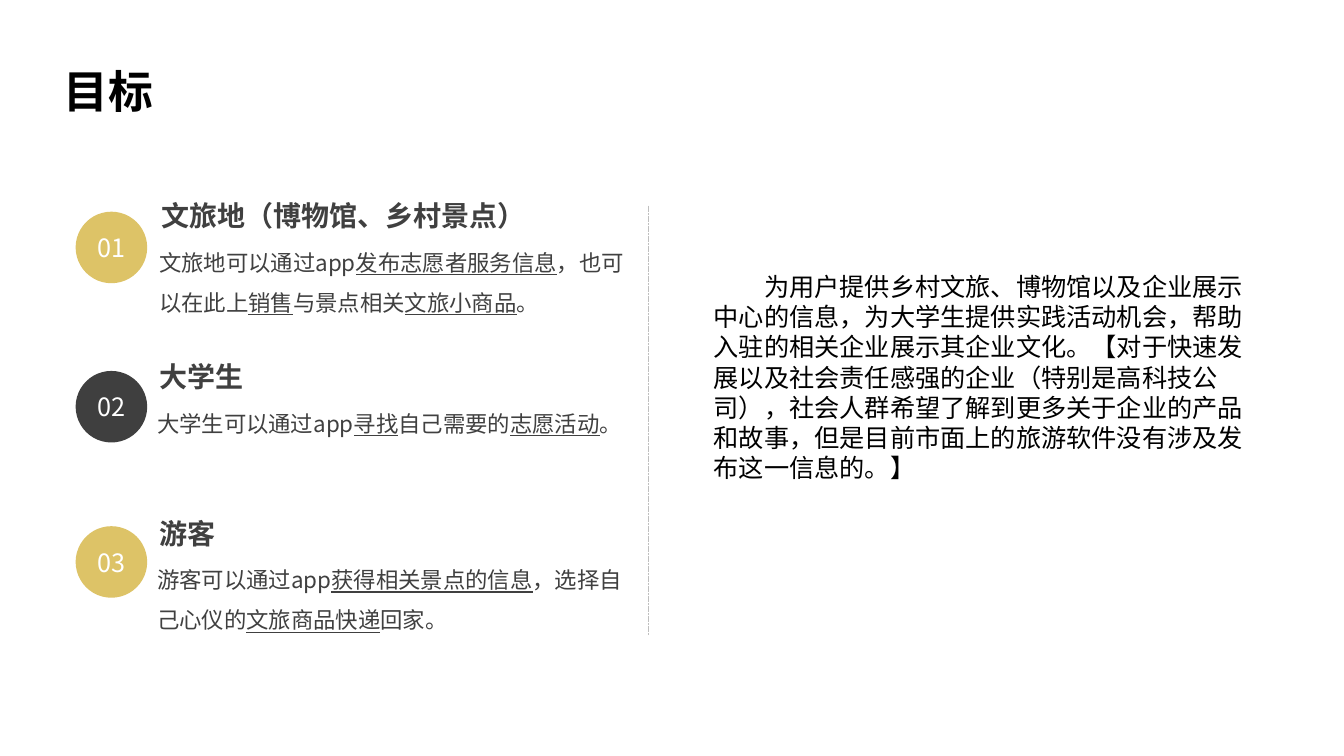
from lxml.etree import SubElement
from pptx import Presentation
from pptx.dml.color import RGBColor
from pptx.enum.dml import MSO_LINE
from pptx.enum.shapes import MSO_CONNECTOR, MSO_SHAPE
from pptx.enum.text import MSO_ANCHOR, MSO_AUTO_SIZE, PP_ALIGN
from pptx.oxml.ns import qn
from pptx.util import Pt

PX = 9144  # 100 px to the inch
FONT = "Noto Sans CJK SC"
GOLD, DARK, GREY, BLACK, WHITE = "DDC367", "3F3F3F", "404040", "000000", "FFFFFF"

# Number, circle colour, circle top, text left, text top, heading, body (_underlined_)
GOALS = [
    ("01", GOLD, 210, 149, 192, "文旅地（博物馆、乡村景点）",
     "文旅地可以通过app_发布志愿者服务信息_，也可以在此上_销售_与景点相关_文旅小商品_。"),
    ("02", DARK, 368, 147, 352, "大学生",
     "大学生可以通过app_寻找_自己需要的_志愿活动_。"),
    ("03", GOLD, 522, 147, 507, "游客",
     "游客可以通过app_获得相关景点的信息_，选择自己心仪的_文旅商品快递_回家。"),
]
STATEMENT = (
    "为用户提供乡村文旅、博物馆以及企业展示中心的信息，为大学生提供实践活动机会，"
    "帮助入驻的相关企业展示其企业文化。【对于快速发展以及社会责任感强的企业"
    "（特别是高科技公司），社会人群希望了解到更多关于企业的产品和故事，"
    "但是目前市面上的旅游软件没有涉及发布这一信息的。】"
)


def px(*lengths):
    return [round(length * PX) for length in lengths]


def color(hex_string):
    return RGBColor.from_string(hex_string)


def set_all(target, values):
    for name, value in values.items():
        setattr(target, name, value)


def write(para, text, size, hex_string, bold=False, **layout):
    """Fill a paragraph; text between underscores is underlined."""
    set_all(para, layout)
    for index, part in enumerate(text.split("_")):
        span = para.add_run()
        span.text = part
        set_all(span.font, {"size": Pt(size), "name": FONT, "bold": bold,
                            "underline": index % 2 == 1})
        span.font.color.rgb = color(hex_string)
        SubElement(span.font._element, qn("a:ea"), typeface=FONT)


def add_text(slide, box, text, size, hex_string, **layout):
    frame = slide.shapes.add_textbox(*px(*box)).text_frame
    set_all(frame, {"word_wrap": True, "auto_size": MSO_AUTO_SIZE.SHAPE_TO_FIT_TEXT})
    para = frame.paragraphs[0]
    write(para, text, size, hex_string, **layout)
    return para


def add_title(slide, box, text):
    title = slide.shapes.title
    set_all(title, dict(zip(("left", "top", "width", "height"), px(*box))))
    frame = title.text_frame
    set_all(frame, {"vertical_anchor": MSO_ANCHOR.MIDDLE, "margin_left": px(20)[0],
                    "auto_size": MSO_AUTO_SIZE.NONE})
    write(frame.paragraphs[0], text, 32, BLACK, bold=True, alignment=PP_ALIGN.LEFT)


def add_number(slide, box, number, fill):
    circle = slide.shapes.add_shape(MSO_SHAPE.OVAL, *px(*box))
    circle.shadow.inherit = False
    circle.fill.solid()
    circle.fill.fore_color.rgb = color(fill)
    circle.line.fill.background()
    frame = circle.text_frame
    set_all(frame, {"vertical_anchor": MSO_ANCHOR.MIDDLE, "word_wrap": False,
                    "margin_left": 0, "margin_right": 0})
    write(frame.paragraphs[0], number, 18, WHITE, alignment=PP_ALIGN.CENTER)


def add_goals(slide, left):
    for number, fill, circle_top, text_left, top, heading, body in GOALS:
        add_number(slide, (left, circle_top, 71, 71), number, fill)
        add_text(slide, (text_left + 1, top, 388, 44), heading, 20, GREY, bold=True)
        add_text(slide, (text_left - 1, top + 36.5, 486, 91), body, 16, GREY,
                 line_spacing=1.5)


def add_divider(slide, x, top, bottom):
    divider = slide.shapes.add_connector(MSO_CONNECTOR.STRAIGHT, *px(x, top, x, bottom))
    set_all(divider.line, {"width": Pt(0.25), "dash_style": MSO_LINE.SQUARE_DOT})
    divider.line.color.rgb = color("BFBFBF")
    SubElement(divider._element.spPr, qn("a:effectLst"))


def add_statement(slide, box):
    para = add_text(slide, box, STATEMENT, 18, BLACK)
    para._p.get_or_add_pPr().set("indent", str(px(50)[0]))


def main():
    deck = Presentation()
    deck.slide_width, deck.slide_height = px(1333, 750)
    slide = deck.slides.add_slide(deck.slide_layouts[5])
    add_title(slide, (43, 38, 393, 104), "目标")
    add_statement(slide, (698, 264, 565, 222))
    add_goals(slide, 75)
    add_divider(slide, 643, 204, 630)
    deck.save("out.pptx")


if __name__ == "__main__":
    main()
